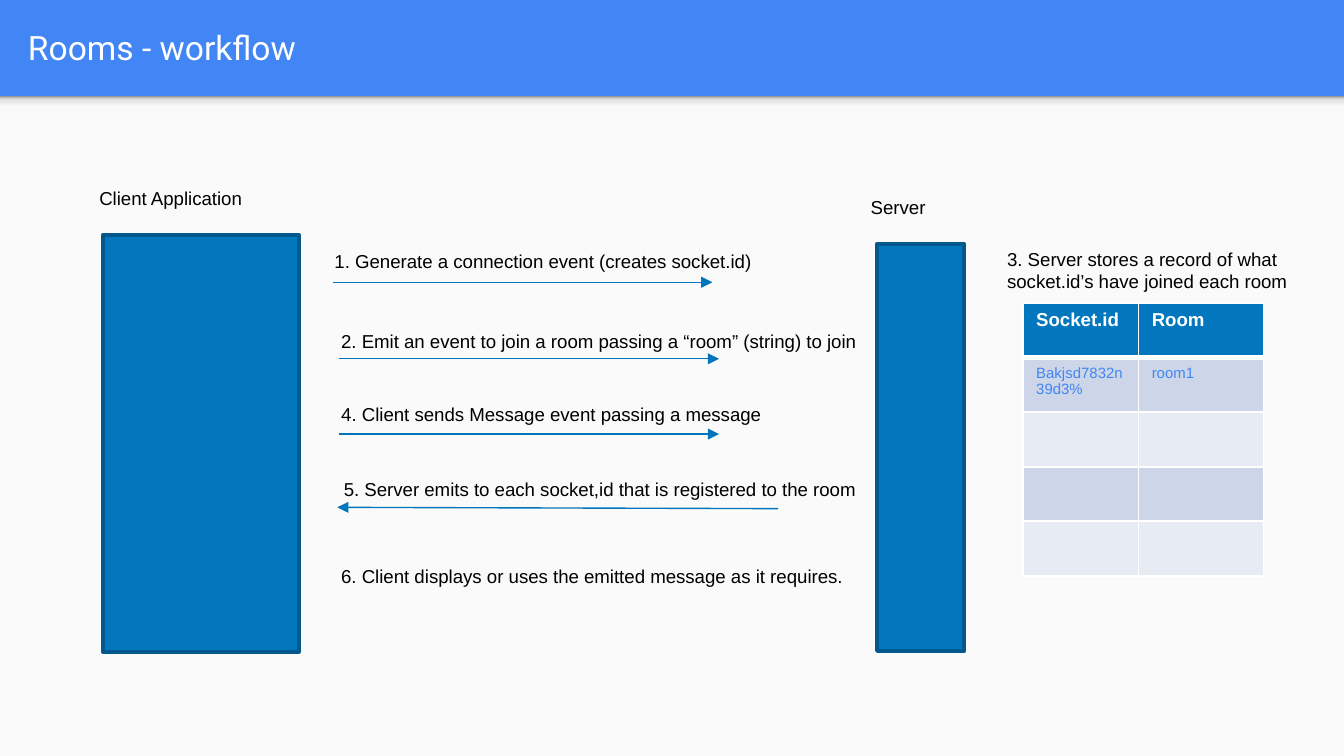
import pptx
import pptx.dml.color
import pptx.enum.shapes
import pptx.enum.text
import pptx.oxml
import pptx.oxml.ns
import pptx.util
from lxml import etree

COLORS = {
    "header": "4285F4", "body": "FAFAFA", "white": "FFFFFF", "black": "000000",
    "box": "0277BD", "edge": "01588C", "arrow": "0075BB",
    "band_dark": "CCD6E8", "band_light": "E7ECF4",
}
SHADOW_STOPS = [(0, "F9F9F9"), (36, "F9F9F9"), (80, "DEDEDE"), (100, "999999")]
COLUMNS, ROWS = 100, 56.25
HEADER = 7.15
STEPS = [
    ("1. Generate a connection event (creates socket.id)", 23.9, 18.1, 33.2),
    ("2. Emit an event to join a room passing a “room” (string) to join", 24.4, 24.05, 40.6),
    ("4. Client sends Message event passing a message", 24.4, 29.5, 33.5),
    ("5. Server emits to each socket,id that is registered to the room", 24.6, 35.1, 40.4),
    ("6. Client displays or uses the emitted message as it requires.", 24.4, 41.55, 39.6),
]
ARROWS = [
    (24.8, 21, 53, 21), (25.2, 26.7, 53.5, 26.7),
    (25.2, 32.3, 53.5, 32.3), (57.9, 37.85, 25.1, 37.75),
]
RECORDS = [("Socket.id", "Room"), ("Bakjsd7832n39d3%", "room1")] + [("", "")] * 3


def grid(*values):
    """Turn grid units, each a hundredth of the slide width, into lengths."""
    return [pptx.util.Inches(v * 10 / COLUMNS) for v in values]


def rgb(name):
    """Return the named colour."""
    return pptx.dml.color.RGBColor.from_string(COLORS[name])


def write(tf, text, size=10, color="black", font="Arial", bold=False):
    """Put one formatted run into a text frame."""
    r = tf.paragraphs[0].add_run()
    r.text = text
    r.font.size = pptx.util.Pt(size)
    r.font.name = font
    r.font.bold = bold
    r.font.color.rgb = rgb(color)


def add_label(s, text, x, y, w, h=2.7, wrap=False, **style):
    """Add a text box that fits its text."""
    tf = s.shapes.add_textbox(*grid(x, y, w, h)).text_frame
    tf.word_wrap = wrap
    tf.auto_size = pptx.enum.text.MSO_AUTO_SIZE.SHAPE_TO_FIT_TEXT
    write(tf, text, **style)


def add_title(s, text):
    """Add the slide title, centred vertically in the header band."""
    tf = s.shapes.add_textbox(*grid(1.1, 0.2, 96.5, 6.6)).text_frame
    tf.word_wrap = True
    tf.vertical_anchor = pptx.enum.text.MSO_ANCHOR.MIDDLE
    tf.margin_top, tf.margin_bottom = grid(1, 1)
    write(tf, text, size=18, color="white", font="Roboto")


def add_box(s, x, y, w, h, fill, edge=None):
    """Add a filled rectangle, outlined when an edge colour is given."""
    sp = s.shapes.add_shape(pptx.enum.shapes.MSO_SHAPE.RECTANGLE, *grid(x, y, w, h))
    sp.shadow.inherit = False
    sp.fill.solid()
    sp.fill.fore_color.rgb = rgb(fill)
    if edge:
        sp.line.color.rgb = rgb(edge)
        sp.line.width = pptx.util.Pt(2)
    else:
        sp.line.fill.background()
    return sp


def add_header_shadow(s):
    """Add the gradient strip below the header band."""
    sp = add_box(s, 0, HEADER, COLUMNS, 1.2, "body")
    sp.fill.gradient()
    sp.fill.gradient_angle = 90
    stops = sp.fill._fill._gradFill.find(pptx.oxml.ns.qn("a:gsLst"))
    for stop in list(stops):
        stops.remove(stop)
    for share, color in SHADOW_STOPS:
        gs = etree.SubElement(stops, pptx.oxml.ns.qn("a:gs"), pos=str(share * 1000))
        etree.SubElement(gs, pptx.oxml.ns.qn("a:srgbClr"), val=color)


def add_arrow(s, x1, y1, x2, y2):
    """Add a straight line with an arrowhead at its end."""
    c = s.shapes.add_connector(
        pptx.enum.shapes.MSO_CONNECTOR.STRAIGHT, *grid(x1, y1, x2, y2))
    c.line.color.rgb = rgb("arrow")
    c.line.width = pptx.util.Pt(0.75)
    etree.SubElement(c.line._get_or_add_ln(), pptx.oxml.ns.qn("a:tailEnd"), type="triangle")
    etree.SubElement(c._element.spPr, pptx.oxml.ns.qn("a:effectLst"))


def add_borders(cell, bottom=1, top=1):
    """Give a cell white borders with widths in points."""
    tc_pr = cell._tc.get_or_add_tcPr()
    for side, width in zip("LRTB", (1, 1, top, bottom)):
        ln = etree.SubElement(
            tc_pr, pptx.oxml.ns.qn(f"a:ln{side}"), w=str(int(pptx.util.Pt(width))))
        fill = etree.SubElement(ln, pptx.oxml.ns.qn("a:solidFill"))
        etree.SubElement(fill, pptx.oxml.ns.qn("a:srgbClr"), val=COLORS["white"])


def add_records(s):
    """Add the table of sockets and rooms."""
    table = s.shapes.add_table(len(RECORDS), 2, *grid(76.1, 22.55, 17.9, 20.3)).table
    table.columns[0].width, table.columns[1].width = grid(8.6, 9.3)
    for i, record in enumerate(RECORDS):
        table.rows[i].height = grid(4.06)[0]
        head = i == 0
        for j, text in enumerate(record):
            cell = table.cell(i, j)
            add_borders(cell, bottom=3 if head else 1, top=3 if i == 1 else 1)
            cell.fill.solid()
            cell.fill.fore_color.rgb = rgb(
                "box" if head else "band_dark" if i % 2 else "band_light")
            if text:
                write(cell.text_frame, text, size=10 if head else 8,
                      color="white" if head else "header", bold=head)


def main():
    """Build the rooms workflow slide."""
    prs = pptx.Presentation()
    prs.slide_width, prs.slide_height = grid(COLUMNS, ROWS)
    s = prs.slides.add_slide(prs.slide_layouts[6])
    s.background.fill.solid()
    s.background.fill.fore_color.rgb = rgb("header")
    add_box(s, 0, HEADER, COLUMNS, ROWS - HEADER, "body")
    add_header_shadow(s)
    add_title(s, "Rooms - workflow")
    add_box(s, 7.65, 17.5, 14.6, 31, "box", edge="edge")
    add_box(s, 65.25, 18.15, 6.5, 30.3, "box", edge="edge")
    add_label(s, "Client Application", 6.4, 13.4, 12.8)
    add_label(s, "Server", 63.8, 14.1, 6.1)
    for arrow in ARROWS:
        add_arrow(s, *arrow)
    for step in STEPS:
        add_label(s, *step)
    add_label(s, "3. Server stores a record of what socket.id’s have joined each room",
              73.95, 17.95, 24.5, 4.4, wrap=True)
    add_records(s)
    prs.save("out.pptx")


if __name__ == "__main__":
    main()
